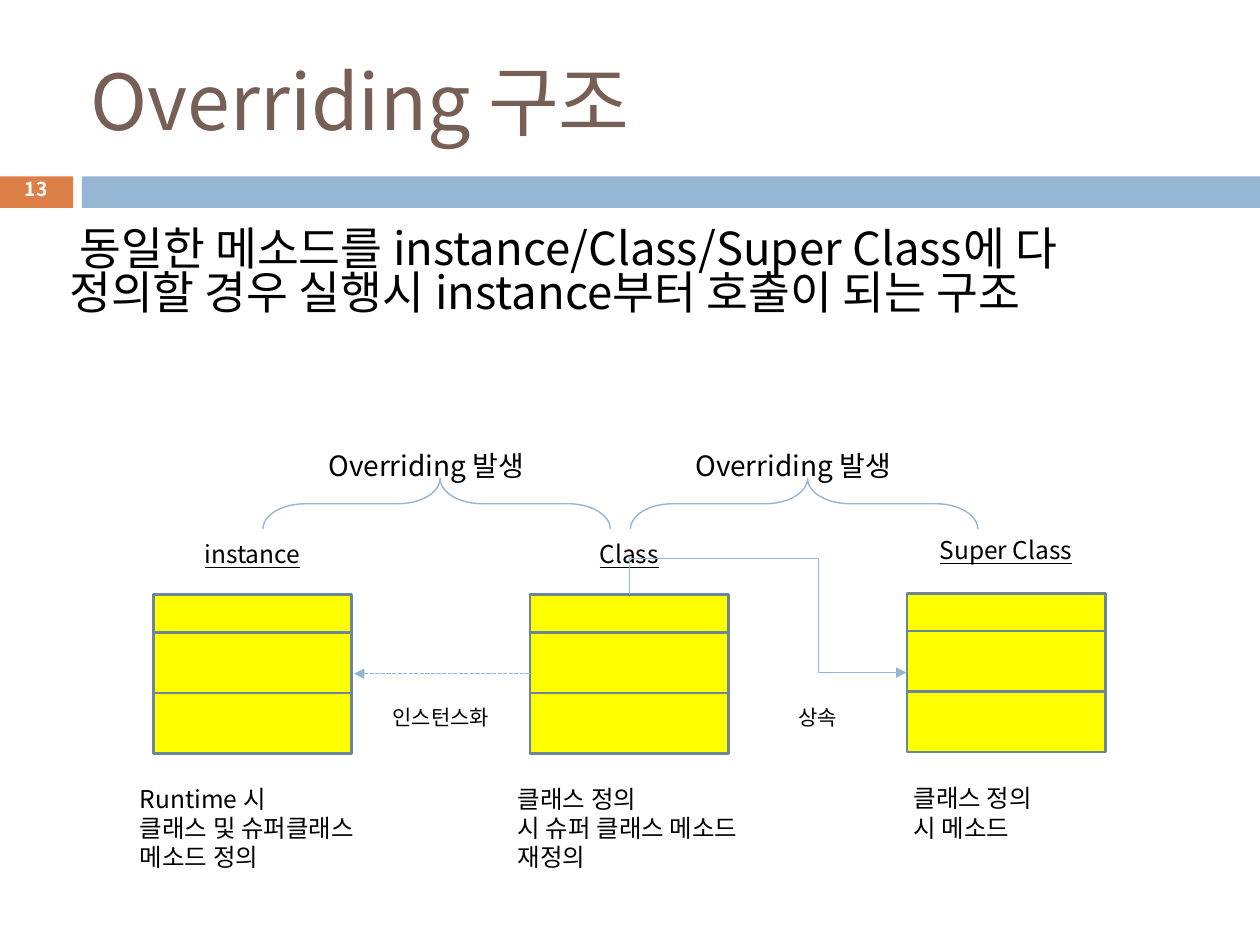
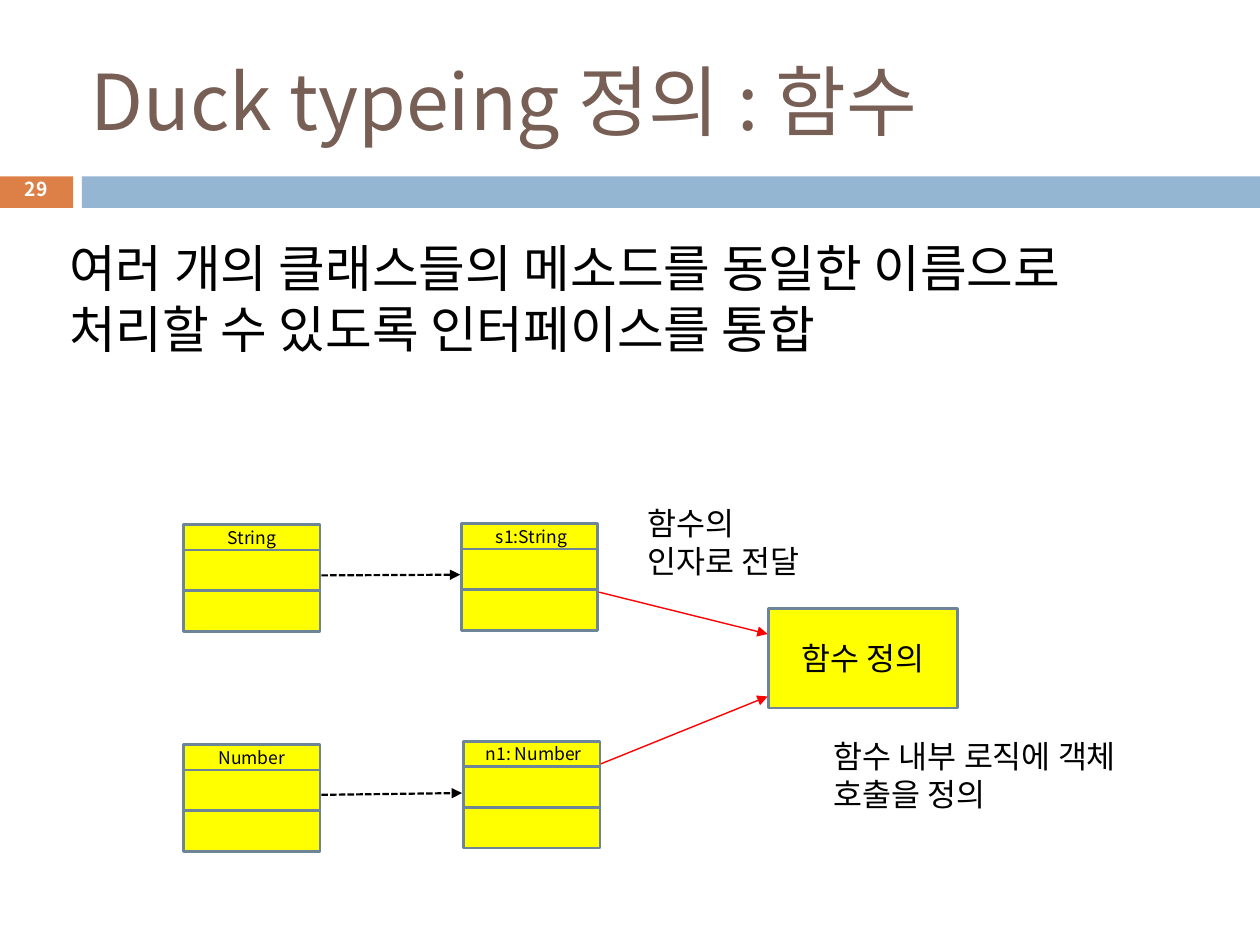
from lxml import etree
from pptx import Presentation
from pptx.dml.color import RGBColor
from pptx.enum.dml import MSO_LINE
from pptx.enum.shapes import MSO_CONNECTOR, MSO_SHAPE
from pptx.enum.text import MSO_ANCHOR, MSO_AUTO_SIZE, PP_ALIGN
from pptx.oxml.ns import qn
from pptx.util import Pt

RECT, BRACE = MSO_SHAPE.RECTANGLE, MSO_SHAPE.LEFT_BRACE
STRAIGHT = MSO_CONNECTOR.STRAIGHT
DASH = MSO_LINE.SQUARE_DOT
LEFT, CENTER = PP_ALIGN.LEFT, PP_ALIGN.CENTER
TOP, MIDDLE = MSO_ANCHOR.TOP, MSO_ANCHOR.MIDDLE
NO_FIT = MSO_AUTO_SIZE.NONE

FONT = "Noto Sans CJK KR"
COLORS = {
    "title": "775F55", "text": "000000", "white": "FFFFFF", "orange": "DD8047",
    "blue": "94B6D2", "yellow": "FFFF00", "border": "6C8599", "red": "FF0000",
}
COLORS = {name: RGBColor.from_string(value) for name, value in COLORS.items()}


def write(sp, text, size, color="text", align=LEFT, anchor=TOP, inset=3.6):
    """Fill a shape with one styled paragraph per line of text."""
    tf = sp.text_frame
    tf.text = text
    tf.word_wrap = True
    tf.auto_size = NO_FIT
    tf.vertical_anchor = anchor
    tf.margin_left = tf.margin_right = Pt(3.6)
    tf.margin_top = tf.margin_bottom = Pt(inset)
    for p in tf.paragraphs:
        p.alignment = align
        p.font.size = Pt(size)
        p.font.color.rgb = COLORS[color]
        p.font.name = FONT
        etree.SubElement(p.font._element, qn("a:ea"), typeface=FONT)
    return tf


def draw_line(sp, color="blue", width=0.79, dash=None, arrow=True):
    """Style a connector or an open outline."""
    sp.line.color.rgb = COLORS[color]
    sp.line.width = Pt(width)
    if dash:
        sp.line.dash_style = dash
    if arrow:
        etree.SubElement(sp.line._get_or_add_ln(), qn("a:tailEnd"), type="triangle")
    etree.SubElement(sp._element.spPr, qn("a:effectLst"))


prs = Presentation()
prs.slide_width, prs.slide_height = Pt(720), Pt(540)

# Title, bands, slide number and lead text of each slide
pages = [
    ("Overriding 구조", "13", 128.2, 26, 0.8,
     " 동일한 메소드를 instance/Class/Super Class에 다 정의할 경우 실행시 instance부터 호출이 되는 구조"),
    ("Duck typeing 정의 : 함수", "29", 131.8, 29, 1,
     "여러 개의 클래스들의 메소드를 동일한 이름으로 처리할 수 있도록 인터페이스를 통합"),
]
slides = []
for title, number, lead_y, lead_size, spacing, lead in pages:
    s = prs.slides.add_slide(prs.slide_layouts[5])
    slides.append(s)
    for x, w, color in [(0, 41.8, "orange"), (46.8, 673.2, "blue")]:
        band = s.shapes.add_shape(RECT, Pt(x), Pt(100.8), Pt(w), Pt(18))
        band.fill.solid()
        band.fill.fore_color.rgb = COLORS[color]
        band.line.fill.background()
        band.shadow.inherit = False

    sp = s.shapes.title
    sp.left, sp.top, sp.width, sp.height = Pt(48.2), Pt(18), Pt(642.2), Pt(77.8)
    write(sp, title, 44, "title", anchor=MIDDLE)

    sp = s.shapes.add_textbox(Pt(36), Pt(lead_y), Pt(648), Pt(100))
    write(sp, lead, lead_size).paragraphs[0].line_spacing = spacing

    sp = s.shapes.add_textbox(Pt(10.4), Pt(98.6), Pt(20.6), Pt(21.6))
    tf = write(sp, number, 11, "white", CENTER, MIDDLE)
    tf.word_wrap = False
    tf.paragraphs[0].font.bold = True
    tf.paragraphs[0].line_spacing = 0.8

overriding, duck = slides

# Boxes of both diagrams: slide, left, top, width, row heights, label, size
CLASS_ROWS, SMALL_ROWS = (21.6, 34.6, 34.6), (14.5, 23.3, 23.3)
boxes = [
    (overriding, 87.6, 339.8, 113.5, CLASS_ROWS, "", 10),
    (overriding, 302.9, 339.8, 113.5, CLASS_ROWS, "", 10),
    (overriding, 518.4, 339, 113.5, CLASS_ROWS, "", 10),
    (duck, 104.9, 425.5, 78, SMALL_ROWS, "Number", 10),
    (duck, 104.9, 299.8, 78, SMALL_ROWS, "String", 10),
    (duck, 264.8, 423.6, 78, SMALL_ROWS, " n1: Number", 10),
    (duck, 263.6, 299.2, 78, SMALL_ROWS, " s1:String", 10),
    (duck, 439.2, 347.6, 108, (56.9,), "함수 정의", 18),
]
for s, x, y, w, rows, label, size in boxes:
    for i, h in enumerate(rows):
        sp = s.shapes.add_shape(RECT, Pt(x), Pt(y), Pt(w), Pt(h))
        sp.fill.solid()
        sp.fill.fore_color.rgb = COLORS["yellow"]
        sp.line.color.rgb = COLORS["border"]
        sp.line.width = Pt(1.5)
        sp.shadow.inherit = False
        if i == 0 and label:
            write(sp, label, size, align=CENTER, anchor=MIDDLE, inset=0)
        y += h

# Underlined class names
for x, y, name in [(87.8, 304.6, "instance"), (303.1, 304.6, "Class"),
                   (518.4, 302.4, "Super Class")]:
    sp = overriding.shapes.add_textbox(Pt(x), Pt(y), Pt(113), Pt(24.5))
    write(sp, name, 14, align=CENTER).paragraphs[0].font.underline = True

# Captions: slide, left, top, width, height, text, size, alignment
captions = [
    (overriding, 433.4, 398.9, 67.7, 22.3, "상속", 12, CENTER),
    (overriding, 212.4, 398.9, 79.2, 22.3, "인스턴스화", 12, CENTER),
    (overriding, 518.4, 444.2, 147.6, 41, "클래스 정의\n시 메소드", 14, LEFT),
    (overriding, 292.3, 444.2, 147.6, 60, "클래스 정의\n시 슈퍼 클래스 메소드 재정의", 14, LEFT),
    (overriding, 76.3, 444.2, 147.6, 60, "Runtime 시\n클래스 및 슈퍼클래스 메소드 정의", 14, LEFT),
    (overriding, 184.1, 252.7, 158.4, 26.6, "Overriding 발생", 16, LEFT),
    (overriding, 393.8, 252.7, 158.4, 26.6, "Overriding 발생", 16, LEFT),
    (duck, 473, 417.6, 221, 51.1, "함수 내부 로직에 객체 호출을 정의", 18, LEFT),
    (duck, 366.5, 284.4, 108, 51.1, "함수의 인자로 전달", 18, LEFT),
]
for s, x, y, w, h, text, size, align in captions:
    sp = s.shapes.add_textbox(Pt(x), Pt(y), Pt(w), Pt(h))
    write(sp, text, size, align=align)

# Braces over neighbouring classes
for x in (235, 445):
    brace = overriding.shapes.add_shape(BRACE, Pt(x), Pt(188.6), Pt(29), Pt(198.5))
    brace.rotation = 90
    brace.adjustments[0], brace.adjustments[1] = 0.83, 0.49
    brace.fill.background()
    draw_line(brace, arrow=False)

# Inheritance: bent arrow from the class to its super class
fb = overriding.shapes.build_freeform(Pt(359.8), Pt(339.4))
fb.add_line_segments([(Pt(x), Pt(y)) for x, y in
                      [(359.8, 319), (467.8, 319), (467.8, 384.3), (518, 384.3)]],
                     close=False)
bent = fb.convert_to_shape()
bent.fill.background()
draw_line(bent)

# Straight arrows: slide, from, to, colour, width, dash
arrows = [
    (overriding, (302.6, 385), (202.3, 385), "blue", 0.79, DASH),
    (duck, (183.6, 454.2), (264, 453.2), "text", 1.25, DASH),
    (duck, (183.6, 328.8), (263, 328.4), "text", 1.25, DASH),
    (duck, (342.4, 338.4), (438.7, 362.3), "red", 0.79, None),
    (duck, (343.4, 436.5), (438.7, 398), "red", 0.79, None),
]
for s, (x1, y1), (x2, y2), color, width, dash in arrows:
    arrow = s.shapes.add_connector(STRAIGHT, Pt(x1), Pt(y1), Pt(x2), Pt(y2))
    draw_line(arrow, color, width, dash)

prs.save("out.pptx")
